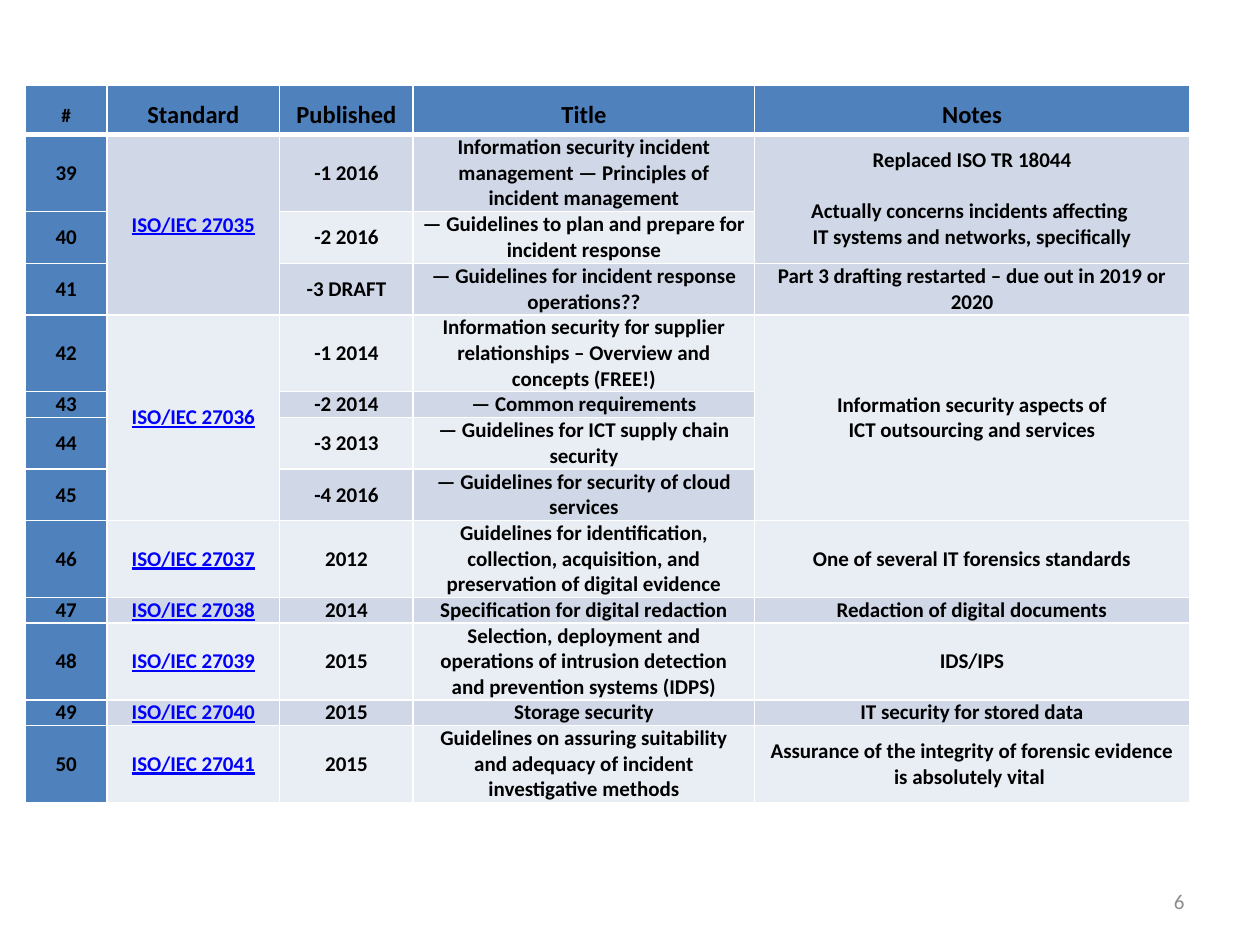
"""Build a slide with a table of ISO/IEC 27000 series standards, numbers 39 to 50."""
from copy import deepcopy

from lxml.etree import SubElement
from pptx import Presentation
from pptx.dml.color import RGBColor
from pptx.enum.text import MSO_ANCHOR, PP_ALIGN
from pptx.oxml.ns import qn
from pptx.util import Inches, Pt

COLOURS = {"head": "4F81BD", "odd": "D0D8E8", "even": "E9EDF4", "border": "FFFFFF",
           "text": "000000", "link": "0000FF", "number": "8C8C8C"}
COLUMN_WIDTHS = [0.65, 1.37, 1.06, 2.71, 3.45]
HEADER_HEIGHT = 0.39
LINE_HEIGHTS = {1: 0.2, 2: 0.41, 3: 0.61}
HEADINGS = ["#", "Standard", "Published", "Title", "Notes"]
FIRST_NUMBER = 39
STANDARDS = [
    (3, "ISO/IEC 27035", "-1 2016",
     "Information security incident management — Principles of incident management",
     "Replaced ISO TR 18044\n"
     "Actually concerns incidents affecting \vIT systems and networks, specifically"),
    (2, None, "-2 2016", "— Guidelines to plan and prepare for incident response", None),
    (2, None, "-3 DRAFT", "— Guidelines for incident response operations??",
     "Part 3 drafting restarted – due out in 2019 or 2020"),
    (3, "ISO/IEC 27036", "-1 2014",
     "Information security for supplier relationships – Overview and concepts (FREE!)",
     "Information security aspects of\vICT outsourcing and services"),
    (1, None, "-2 2014", "— Common requirements", None),
    (2, None, "-3 2013", "— Guidelines for ICT supply chain security", None),
    (2, None, "-4 2016", "— Guidelines for security of cloud services", None),
    (3, "ISO/IEC 27037", "2012",
     "Guidelines for identification, collection, acquisition, and preservation of digital evidence",
     "One of several IT forensics standards"),
    (1, "ISO/IEC 27038", "2014", "Specification for digital redaction",
     "Redaction of digital documents"),
    (3, "ISO/IEC 27039", "2015",
     "Selection, deployment and operations of intrusion detection and prevention systems (IDPS)",
     "IDS/IPS"),
    (1, "ISO/IEC 27040", "2015", "Storage security", "IT security for stored data"),
    (3, "ISO/IEC 27041", "2015",
     "Guidelines on assuring suitability and adequacy of incident investigative methods",
     "Assurance of the integrity of forensic evidence\vis absolutely vital "),
]


def write_text(frame, text, colour, font_format, para_format):
    """Fill a text frame, with a paragraph per newline and a line break per vertical tab."""
    for index, words in enumerate(text.split("\n")):
        para = frame.add_paragraph() if index else frame.paragraphs[0]
        for name, value in para_format.items():
            setattr(para, name, value)
        for position, line in enumerate(words.split("\v")):
            if position:
                para.add_line_break()
            span = para.add_run()
            span.text = line
            span.font.name = "Calibri"
            span.font.color.rgb = RGBColor.from_string(COLOURS[colour])
            for name, value in font_format.items():
                setattr(span.font, name, value)
        for line_break in para._p.findall(qn("a:br")):
            line_break.insert(0, deepcopy(span._r.rPr))


def style_cell(cell, fill, top, bottom):
    """Set the fill, margins and four borders of a cell."""
    properties = cell._tc.get_or_add_tcPr()
    for side, width in {"L": 1, "R": 1, "T": top, "B": bottom}.items():
        line = SubElement(properties, qn(f"a:ln{side}"), w=str(Pt(width)))
        solid = SubElement(line, qn("a:solidFill"))
        SubElement(solid, qn("a:srgbClr"), val=COLOURS["border"])
    cell.fill.solid()
    cell.fill.fore_color.rgb = RGBColor.from_string(COLOURS[fill])
    margins = {"margin_left": 0.07, "margin_right": 0.07, "margin_top": 0, "margin_bottom": 0}
    for name, value in margins.items():
        setattr(cell, name, Inches(value))


deck = Presentation()
deck.slide_width, deck.slide_height = Inches(10), Inches(7.5)
page = deck.slides.add_slide(deck.slide_layouts[6])

row_heights = [HEADER_HEIGHT] + [LINE_HEIGHTS[entry[0]] for entry in STANDARDS]
rows = [HEADINGS] + [[str(FIRST_NUMBER + index), *entry[1:]]
                     for index, entry in enumerate(STANDARDS)]
table = page.shapes.add_table(len(rows), len(HEADINGS), Inches(0.2), Inches(0.68),
                              Inches(sum(COLUMN_WIDTHS)), Inches(sum(row_heights))).table
table.first_row = table.horz_banding = False
for column, width in zip(table.columns, COLUMN_WIDTHS):
    column.width = Inches(width)
for row, height in zip(table.rows, row_heights):
    row.height = Inches(height)

for row_index, row in enumerate(rows):
    for column_index, text in enumerate(row):
        cell = table.cell(row_index, column_index)
        is_header = row_index == 0
        is_heading = is_header and column_index > 0
        last = row_index
        while text and last + 1 < len(rows) and rows[last + 1][column_index] is None:
            last += 1
        fill = "head" if is_header or column_index == 0 else "odd" if row_index % 2 else "even"
        style_cell(cell, fill, 3 if row_index == 1 else 1, 3 if is_header else 1)
        if text is None:
            continue
        if last > row_index:
            cell.merge(table.cell(last, column_index))
        cell.vertical_anchor = MSO_ANCHOR.TOP if is_heading else MSO_ANCHOR.MIDDLE
        is_link = column_index == 1 and not is_header
        before = 4 if is_heading else 3 if column_index == 3 else 7.2
        para_format = {"alignment": PP_ALIGN.CENTER, "space_before": Pt(before),
                       "space_after": Pt(0 if is_heading else before),
                       "line_spacing": 1.5 if is_header else 1.0}
        size = 14 if is_heading else 11 if is_header else 12
        font_format = {"size": Pt(size), "bold": True, "underline": is_link}
        write_text(cell.text_frame, text, "link" if is_link else "text", font_format, para_format)

box = page.shapes.add_textbox(Inches(7.17), Inches(6.95), Inches(2.33), Inches(0.4))
box.text_frame.word_wrap = True
box.text_frame.vertical_anchor = MSO_ANCHOR.MIDDLE
write_text(box.text_frame, "6", "number", {"size": Pt(12)}, {"alignment": PP_ALIGN.RIGHT})

deck.save("out.pptx")
